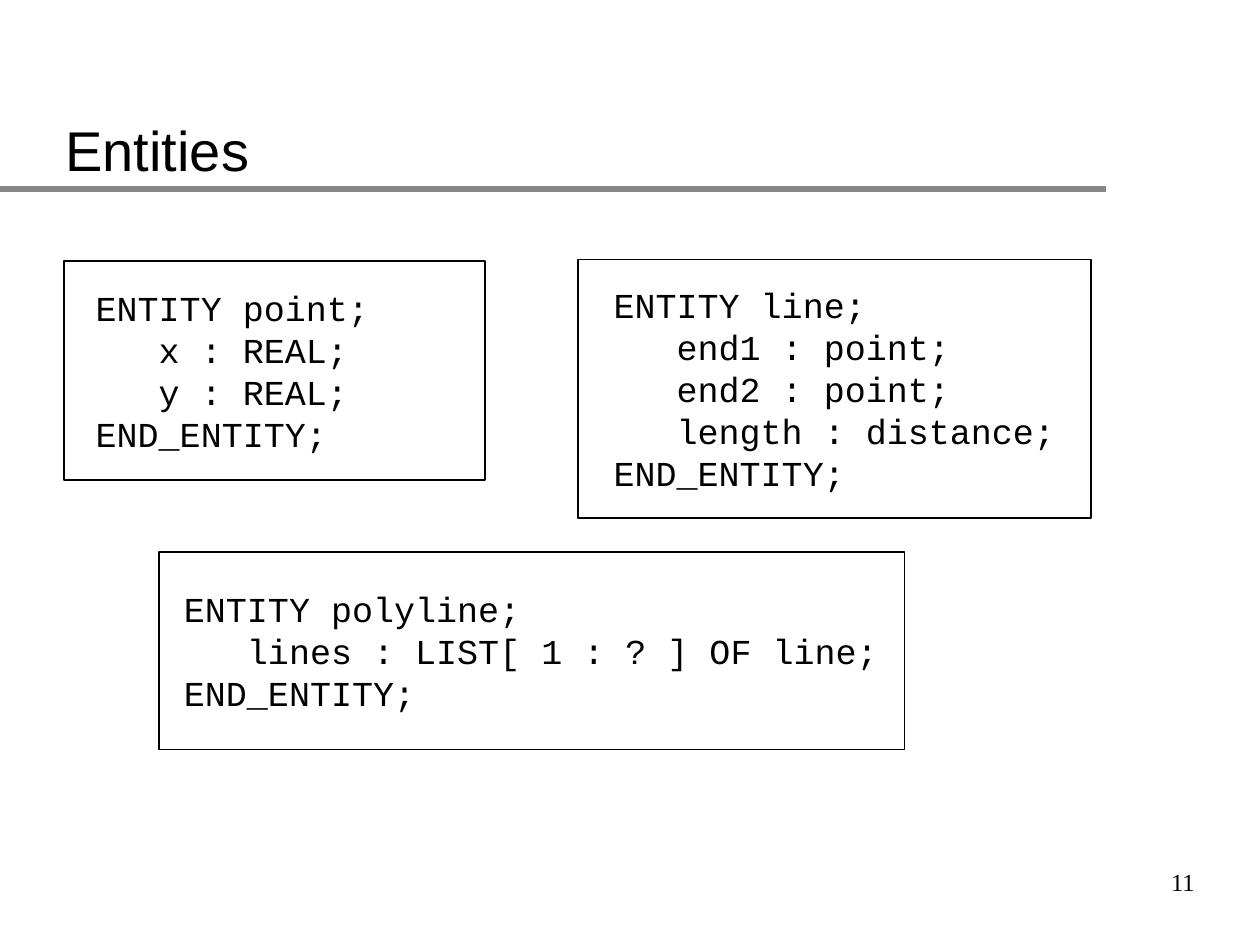
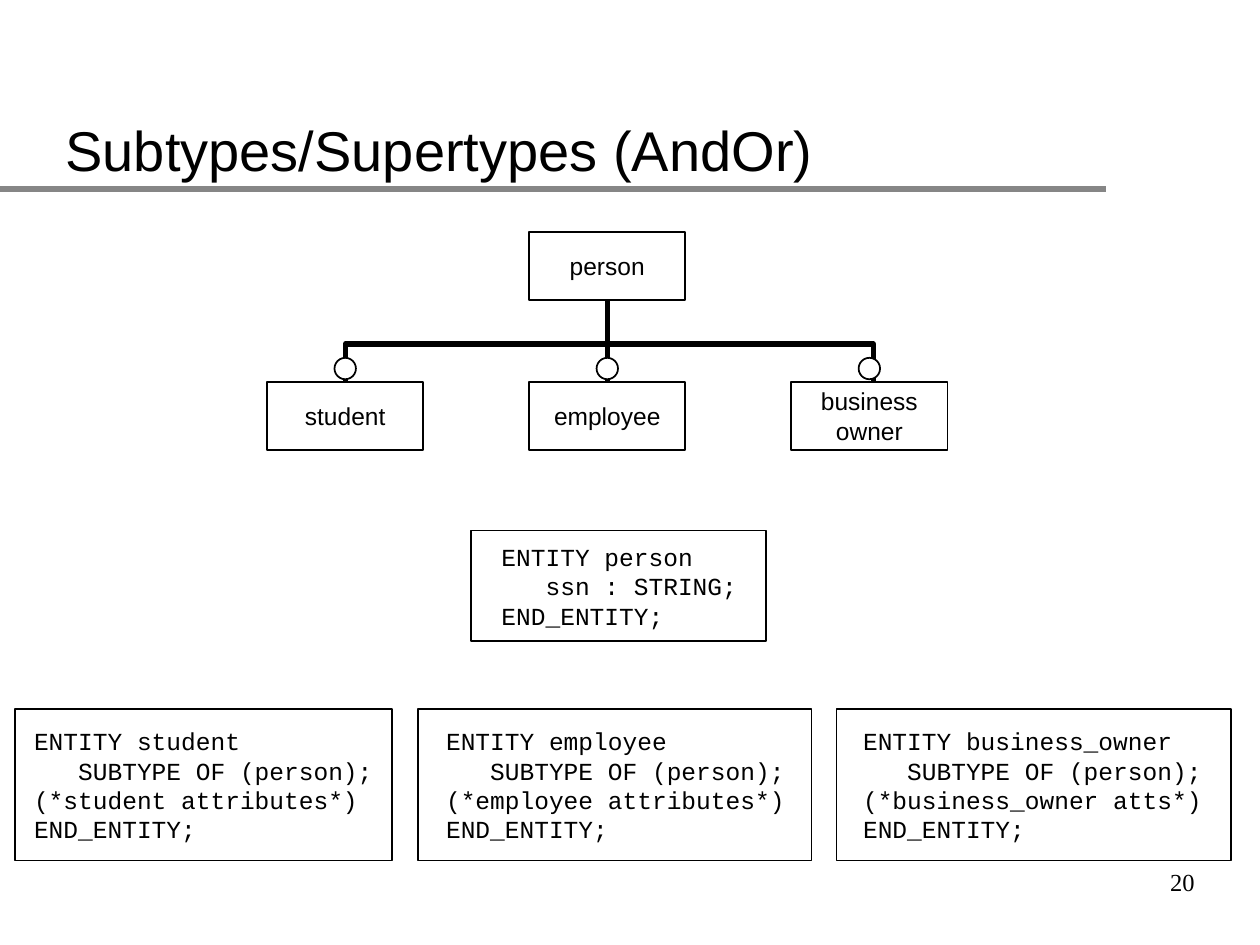
"""Build two slides on entities and subtypes in a data modelling language."""
from pptx import Presentation
from pptx.dml.color import RGBColor
from pptx.enum.shapes import MSO_CONNECTOR, MSO_SHAPE
from pptx.enum.text import MSO_ANCHOR, PP_ALIGN
from pptx.util import Inches, Pt
from lxml import etree

RECT, OVAL = MSO_SHAPE.RECTANGLE, MSO_SHAPE.OVAL
STRAIGHT = MSO_CONNECTOR.STRAIGHT
LEFT, MID, RIGHT = PP_ALIGN.LEFT, PP_ALIGN.CENTER, PP_ALIGN.RIGHT
CENTRE, LOW = MSO_ANCHOR.MIDDLE, MSO_ANCHOR.BOTTOM
BLACK, WHITE, GREY = "000000", "FFFFFF", "868686"
SANS, MONO, SERIF = "Arial", "Courier New", "Times New Roman"
NODE_W, NODE_H, NODE_GAP, DOT = 1.24, 0.54, 2.08, 0.17
DRAW = "http://schemas.openxmlformats.org/drawingml/2006/main"


def tint(code):
    return RGBColor.from_string(code)


def write(shape, text, font=SANS, size=14, align=LEFT, anchor=CENTRE,
          left=0.1, right=0.1):
    frame = shape.text_frame
    frame.word_wrap = True
    frame.vertical_anchor = anchor
    frame.margin_left, frame.margin_right = Inches(left), Inches(right)
    frame.margin_top = frame.margin_bottom = Inches(0.05)
    for i, line in enumerate(text.split("\n")):
        para = frame.paragraphs[0] if i == 0 else frame.add_paragraph()
        para.text = line
        para.alignment = align
        para.font.name, para.font.size = font, Pt(size)
        para.font.color.rgb = tint(BLACK)


def draw_line(slide, start, end, color=BLACK, width=3):
    line = slide.shapes.add_connector(
        STRAIGHT, *(Inches(v) for v in (*start, *end)))
    line.line.color.rgb = tint(color)
    line.line.width = Pt(width)
    etree.SubElement(line._element.spPr, f"{{{DRAW}}}effectLst")
    return line


def add_form(slide, kind, x, y, w, h):
    form = slide.shapes.add_shape(kind, *(Inches(v) for v in (x, y, w, h)))
    form.shadow.inherit = False
    form.fill.solid()
    form.fill.fore_color.rgb = tint(WHITE)
    form.line.color.rgb = tint(BLACK)
    form.line.width = Pt(1)
    return form


def add_code(slide, box, text, indent, size):
    form = add_form(slide, RECT, *box)
    write(form, text, font=MONO, size=size, left=indent, right=0)


def add_node(slide, mid, top, text):
    node = add_form(slide, RECT, mid - NODE_W / 2, top, NODE_W, NODE_H)
    write(node, text, align=MID)
    return node


def add_page(deck, title, number):
    slide = deck.slides.add_slide(deck.slide_layouts[5])
    draw_line(slide, (0, 1.5), (8.78, 1.5), color=GREY, width=4)
    head = slide.shapes.title
    head.left, head.top = Inches(0.42), Inches(0.29)
    head.width, head.height = Inches(8.5), Inches(1.21)
    write(head, title, size=32, anchor=LOW)
    foot = slide.shapes.add_textbox(
        Inches(7.5), Inches(6.75), Inches(2.08), Inches(0.5))
    write(foot, str(number), font=SERIF, align=RIGHT)
    return slide


def add_tree(slide, root, kids):
    mid, top, kid_top, bar = 4.82, 1.84, 3.03, 2.73
    path = slide.shapes.build_freeform(
        Inches(mid - NODE_GAP), Inches(kid_top))
    path.add_line_segments(
        [(Inches(x), Inches(y)) for x, y in
         ((mid - NODE_GAP, bar), (6.93, bar), (6.93, kid_top))], close=False)
    fork = path.convert_to_shape()
    fork.shadow.inherit = False
    fork.fill.background()
    fork.line.color.rgb = tint(BLACK)
    fork.line.width = Pt(3)

    spots = [mid + (i - 1) * NODE_GAP for i in range(len(kids))]
    head = add_node(slide, mid, top, root)
    nodes = [add_node(slide, x, kid_top, kid) for x, kid in zip(spots, kids)]
    stem = draw_line(slide, (mid, top + NODE_H), (mid, kid_top))
    stem.begin_connect(head, 2)
    stem.end_connect(nodes[1], 0)
    for x in spots:
        add_form(slide, OVAL, x - DOT / 2, 2.84, DOT, DOT)


def main():
    deck = Presentation()
    deck.slide_width, deck.slide_height = Inches(10), Inches(7.5)

    slide = add_page(deck, "Entities", 11)
    for box, indent, text in (
        ((0.51, 2.07, 3.34, 1.74), 0.25,
         "ENTITY point;\n   x : REAL;\n   y : REAL;\nEND_ENTITY;"),
        ((4.59, 2.06, 4.07, 2.05), 0.28,
         "ENTITY line;\n   end1 : point;\n   end2 : point;\n"
         "   length : distance;\nEND_ENTITY;"),
        ((1.26, 4.38, 5.92, 1.57), 0.2,
         "ENTITY polyline;\n   lines : LIST[ 1 : ? ] OF line;\nEND_ENTITY;"),
    ):
        add_code(slide, box, text, indent, 20)

    slide = add_page(deck, "Subtypes/Supertypes (AndOr)", 20)
    add_tree(slide, "person", ("student", "employee", "business\nowner"))
    add_code(slide, (3.74, 4.21, 2.34, 0.88),
             "ENTITY person\n   ssn : STRING;\nEND_ENTITY;", 0.24, 14)
    for x, width, indent, name, note in (
        (0.12, 2.99, 0.15, "student", "attributes"),
        (3.32, 3.12, 0.22, "employee", "attributes"),
        (6.64, 3.13, 0.21, "business_owner", "atts"),
    ):
        text = (f"ENTITY {name}\n   SUBTYPE OF (person);\n"
                f"(*{name} {note}*)\nEND_ENTITY;")
        add_code(slide, (x, 5.63, width, 1.2), text, indent, 14)

    deck.save("out.pptx")


if __name__ == "__main__":
    main()
